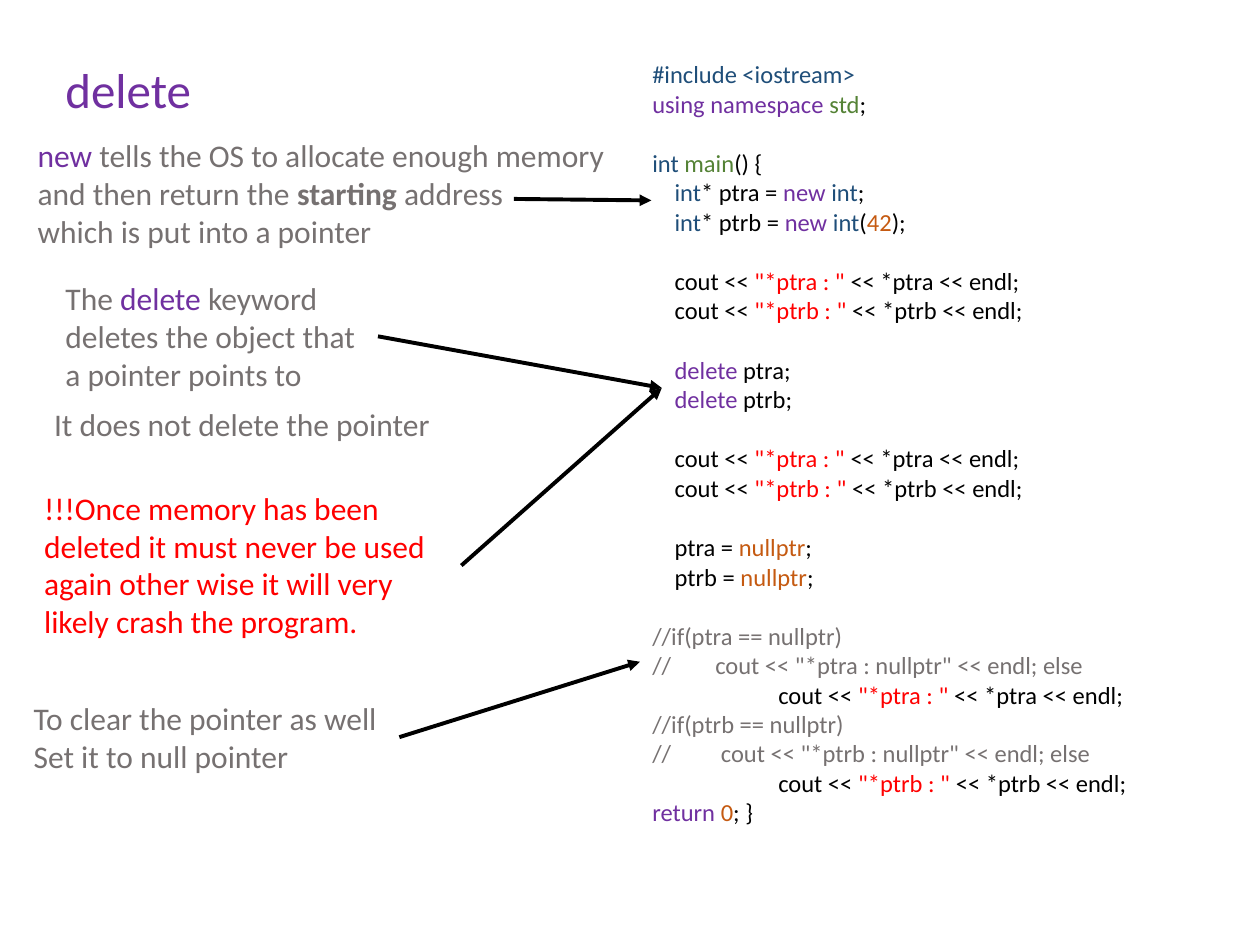
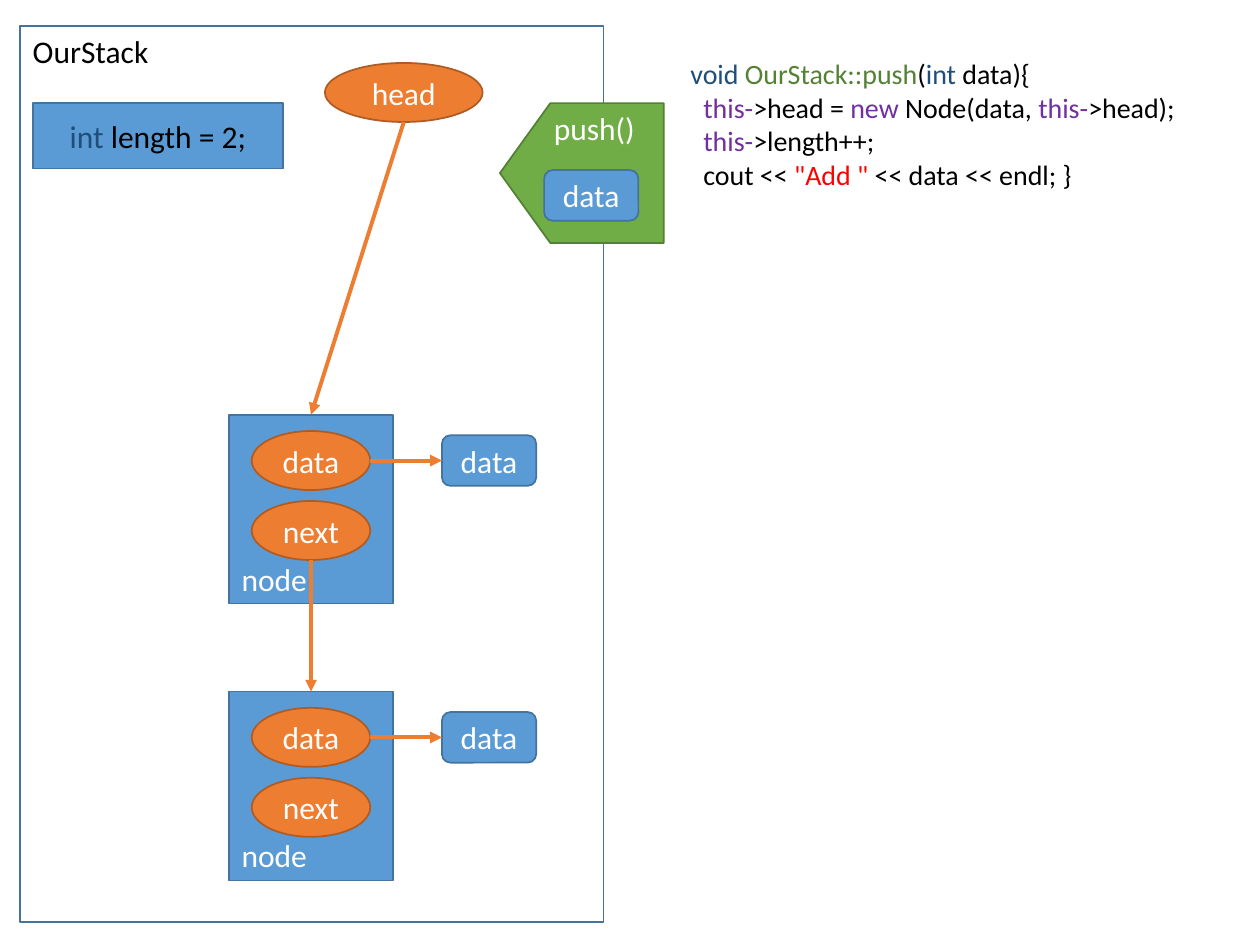
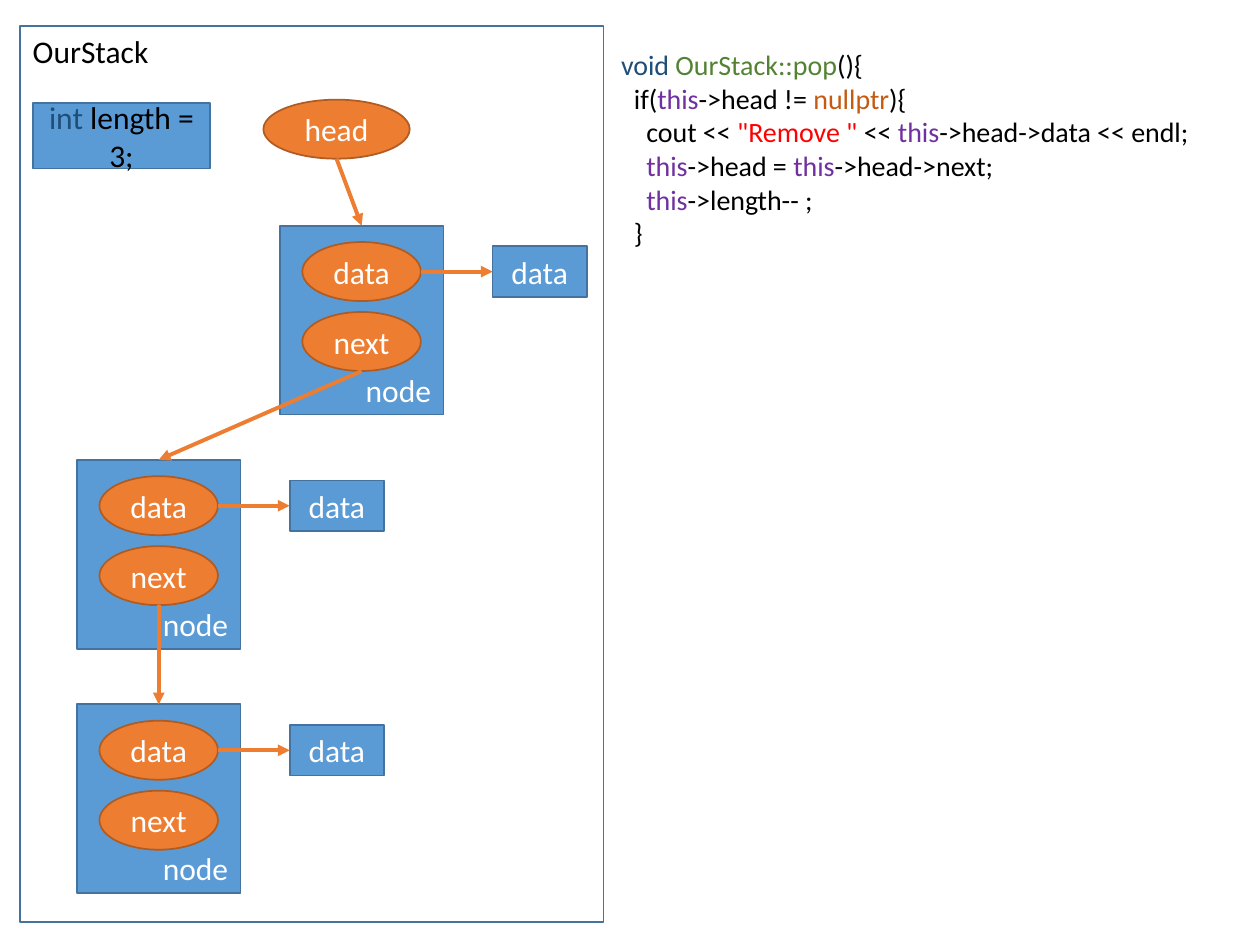
"""Build three slides on delete and on the push and pop of a linked stack."""
import dataclasses

import lxml.etree
import pptx
import pptx.dml.color
import pptx.enum.shapes
import pptx.enum.text
import pptx.oxml.ns
import pptx.util

Cm = pptx.util.Cm
SHAPE = pptx.enum.shapes.MSO_SHAPE
ALIGN = pptx.enum.text.PP_ALIGN
ANCHOR = pptx.enum.text.MSO_ANCHOR


@dataclasses.dataclass(frozen=True)
class Theme:
    """Colours, type sizes and line widths of all slides."""
    font: str = "Calibri"
    black: str = "000000"
    white: str = "FFFFFF"
    grey: str = "767171"
    red: str = "FF0000"
    purple: str = "7030A0"
    navy: str = "1F4E79"
    green: str = "548235"
    brown: str = "C55A11"
    blue_fill: str = "5B9BD5"
    blue_line: str = "43739E"
    orange_fill: str = "ED7D31"
    orange_line: str = "AF5C24"
    green_fill: str = "70AD47"
    green_line: str = "538035"
    title: float = 28
    body: float = 18
    code: float = 16
    small_code: float = 14
    outline: float = 1
    arrow: float = 2.25


THEME = Theme()
NODE_WIDTH, NODE_HEIGHT = 3.3, 3.81
FIELD_WIDTH, FIELD_HEIGHT = 2.39, 1.19
VALUE_WIDTH, VALUE_HEIGHT = 1.9, 1.02
VALUE_OFFSET = 4.29
LINE_SPACING = 1.22


@dataclasses.dataclass(frozen=True)
class Run:
    """A piece of text that departs from the look of its line."""
    text: str
    colour: str
    bold: bool = False


@dataclasses.dataclass(frozen=True)
class Line:
    """A line of text with its indent in cm and an optional gap above."""
    runs: tuple
    indent: float = 0
    gap: bool = False
    colour: str = ""


def line(*runs, **layout):
    """Gather runs into one line."""
    return Line(runs, **layout)


def keyword(text):
    """Colour a keyword."""
    return Run(text, THEME.purple)


def kind(text):
    """Colour a type name."""
    return Run(text, THEME.navy)


def name(text):
    """Colour a function or namespace name."""
    return Run(text, THEME.green)


def literal(text):
    """Colour a constant."""
    return Run(text, THEME.brown)


def string(text):
    """Colour a quoted string."""
    return Run(text, THEME.red)


def rgb(colour):
    """Turn a hex string into a colour."""
    return pptx.dml.color.RGBColor.from_string(colour)


def write_lines(frame, lines, size, colour, align=ALIGN.LEFT):
    """Fill a text frame with one paragraph for each line."""
    for index, content in enumerate(lines):
        paragraph = frame.paragraphs[0] if index == 0 else frame.add_paragraph()
        paragraph.alignment = align
        paragraph.font.name = THEME.font
        paragraph.font.size = pptx.util.Pt(size)
        paragraph.font.color.rgb = rgb(content.colour or colour)
        if content.gap:
            paragraph.space_before = pptx.util.Pt(size * LINE_SPACING)
        if content.indent:
            properties = paragraph._p.get_or_add_pPr()
            properties.set("marL", str(Cm(content.indent)))
            properties.set("indent", "0")
        for piece in content.runs:
            run = paragraph.add_run()
            if isinstance(piece, Run):
                run.text = piece.text
                run.font.color.rgb = rgb(piece.colour)
                if piece.bold:
                    run.font.bold = True
            else:
                run.text = piece


def add_text(slide, box, lines, size=THEME.body, colour=THEME.grey, wrap=True):
    """Add a text box that fits its lines."""
    shape = slide.shapes.add_textbox(*map(Cm, box))
    shape.text_frame.word_wrap = wrap
    shape.text_frame.auto_size = pptx.enum.text.MSO_AUTO_SIZE.SHAPE_TO_FIT_TEXT
    write_lines(shape.text_frame, lines, size, colour)
    return shape


def add_block(slide, preset, box, content, fill=THEME.blue_fill,
              outline=THEME.blue_line, colour=THEME.white,
              align=ALIGN.CENTER, anchor=ANCHOR.MIDDLE):
    """Add an outlined preset shape with one line of text."""
    shape = slide.shapes.add_shape(preset, *map(Cm, box))
    shape.shadow.inherit = False
    if fill:
        shape.fill.solid()
        shape.fill.fore_color.rgb = rgb(fill)
    else:
        shape.fill.background()
    shape.line.color.rgb = rgb(outline)
    shape.line.width = pptx.util.Pt(THEME.outline)
    shape.text_frame.word_wrap = True
    shape.text_frame.vertical_anchor = anchor
    write_lines(shape.text_frame, [content], THEME.body, colour, align)
    return shape


def add_pointer(slide, box, label):
    """Add an orange ellipse that stands for a pointer."""
    return add_block(slide, SHAPE.OVAL, box, line(label),
                     THEME.orange_fill, THEME.orange_line)


def add_arrow(slide, start, end, colour=THEME.orange_fill):
    """Add a straight arrow between two points."""
    connector = slide.shapes.add_connector(
        pptx.enum.shapes.MSO_CONNECTOR.STRAIGHT, *start, *end)
    connector.line.color.rgb = rgb(colour)
    connector.line.width = pptx.util.Pt(THEME.arrow)
    qualify = pptx.oxml.ns.qn
    outline = connector.line._get_or_add_ln()
    lxml.etree.SubElement(outline, qualify("a:tailEnd"), type="triangle")
    lxml.etree.SubElement(connector._element.spPr, qualify("a:effectLst"))


def add_link(slide, source, target):
    """Point from the bottom of one shape to the top of another."""
    add_arrow(slide,
              (source.left + source.width // 2, source.top + source.height),
              (target.left + target.width // 2, target.top))


def add_node(slide, left, top, value_preset, align):
    """Add a node with its two pointers and its value; return node and next."""
    node = add_block(slide, SHAPE.RECTANGLE, (left, top, NODE_WIDTH, NODE_HEIGHT),
                     line("node"), align=align, anchor=ANCHOR.BOTTOM)
    field_left = left + (NODE_WIDTH - FIELD_WIDTH) / 2
    data, following = [
        add_pointer(slide, (field_left, top + offset, FIELD_WIDTH, FIELD_HEIGHT), label)
        for label, offset in (("data", 0.33), ("next", 1.74))]
    value_top = top + 0.33 + (FIELD_HEIGHT - VALUE_HEIGHT) / 2
    value = add_block(slide, value_preset,
                      (left + VALUE_OFFSET, value_top, VALUE_WIDTH, VALUE_HEIGHT),
                      line("data"))
    middle = data.top + data.height // 2
    add_arrow(slide, (data.left + data.width, middle), (value.left, middle))
    return node, following


def add_stack(slide, length, length_width, head_box, places, value_preset, align):
    """Add the stack frame, its length, its head and its chain of nodes."""
    add_block(slide, SHAPE.RECTANGLE, (0.41, 0.53, 11.76, 18.06), line("OurStack"),
              fill=None, colour=THEME.black, align=ALIGN.LEFT, anchor=ANCHOR.TOP)
    add_block(slide, SHAPE.RECTANGLE, (0.66, 2.08, length_width, 1.32),
              line(kind("int"), f" length = {length};"), colour=THEME.black)
    source = add_pointer(slide, head_box, "head")
    for left, top in places:
        node, following = add_node(slide, left, top, value_preset, align)
        add_link(slide, source, node)
        source = following


def print_line(pointer, **layout):
    """Return the code line that prints one pointer's target."""
    return line("cout << ", string(f'"*{pointer} : " '),
                f"<< *{pointer} << endl;", **layout)


def delete_code():
    """Return the program that shows new and delete."""
    inner = {"indent": 0.45}
    comment = {"colour": THEME.grey}
    lines = [
        line(kind("#include <iostream>")),
        line(keyword("using namespace "), name("std"), ";"),
        line(kind("int "), name("main"), "() {", gap=True),
        line(kind("int"), "* ptra = ", keyword("new "), kind("int"), ";", **inner),
        line(kind("int"), "* ptrb = ", keyword("new "), kind("int"), "(",
             literal("42"), ");", **inner),
        print_line("ptra", gap=True, **inner),
        print_line("ptrb", **inner),
        line(keyword("delete "), "ptra;", gap=True, **inner),
        line(keyword("delete "), "ptrb;", **inner),
        print_line("ptra", gap=True, **inner),
        print_line("ptrb", **inner),
        line("ptra = ", literal("nullptr"), ";", gap=True, **inner),
        line("ptrb = ", literal("nullptr"), ";", **inner),
    ]
    for pointer, lead in (("ptra", "//\t"), ("ptrb", "//\t ")):
        lines += [
            line(f"//if({pointer} == nullptr)", gap=pointer == "ptra", **comment),
            line(f'{lead}cout << "*{pointer} : nullptr" << endl; else', **comment),
            print_line(pointer, indent=2.54),
        ]
    return lines + [line(keyword("return "), literal("0"), "; }")]


def build_delete_slide(slide):
    """Explain delete beside a sample program."""
    add_text(slide, (12.9, 1.07, 12.07, 17.02), delete_code(),
             THEME.small_code, THEME.black)
    add_text(slide, (1.07, 1.07, 3.07, 1.45), [line("delete")],
             THEME.title, THEME.purple, wrap=False)
    add_text(slide, (0.51, 2.62, 11.96, 2.57), [
        line(keyword("new "), "tells the OS to allocate enough memory"),
        line("and then return the ", Run("starting ", THEME.grey, True), "address"),
        line("which is put into a pointer")])
    add_text(slide, (1.07, 5.51, 6.58, 2.57), [
        line("The ", keyword("delete"),
             " keyword deletes the object that a pointer points to")])
    add_text(slide, (0.84, 8.05, 8.18, 1.02),
             [line("It does not delete the pointer")], wrap=False)
    add_text(slide, (0.64, 9.73, 8.66, 3.33), [
        line("!!!Once memory has been deleted it must never be used again "
             "other wise it will very likely crash the program.")],
             colour=THEME.red)
    add_text(slide, (0.43, 13.97, 7.62, 1.8), [
        line("To clear the pointer as well"), line("Set it to null pointer")])
    for start, end in (((10.36, 4.01), (13.13, 4.04)),
                       ((7.62, 6.78), (13.34, 7.82)),
                       ((9.3, 11.4), (13.34, 7.82)),
                       ((8.05, 14.86), (12.9, 13.34))):
        add_arrow(slide, tuple(map(Cm, start)), tuple(map(Cm, end)), THEME.black)


def build_push_slide(slide):
    """Show a stack of two nodes and the push function."""
    inner = {"indent": 0.26}
    add_text(slide, (13.67, 1.02, 10.39, 3), [
        line(kind("void "), name("OurStack::push"), "(", kind("int "), "data){"),
        line(keyword("this-"), ">head = ", keyword("new"), " Node(data, ",
             keyword("this-"), ">head);", **inner),
        line(keyword("this-"), ">length++;", **inner),
        line("cout << ", string('"Add " '), "<< data << endl; }", **inner)],
             THEME.code, THEME.black, wrap=False)
    add_stack(slide, 2, 5.05, (6.55, 1.27, 3.18, FIELD_HEIGHT),
              ((4.62, 8.36), (4.62, 13.94)), SHAPE.ROUNDED_RECTANGLE, ALIGN.LEFT)
    push = add_block(slide, SHAPE.PENTAGON, (10.08, 2.08, 3.3, 2.82), line("push()"),
                     THEME.green_fill, THEME.green_line, anchor=ANCHOR.TOP)
    push.adjustments[0] = 0.36
    push._element.spPr.get_or_add_xfrm().set("flipH", "1")
    add_block(slide, SHAPE.ROUNDED_RECTANGLE,
              (10.97, 3.43, VALUE_WIDTH, VALUE_HEIGHT), line("data"))


def build_pop_slide(slide):
    """Show a stack of three nodes and the pop function."""
    outer, inner = {"indent": 0.26}, {"indent": 0.51}
    this = keyword("this")
    add_text(slide, (12.27, 0.84, 12.09, 4.37), [
        line(kind("void "), name("OurStack::pop"), "(){"),
        line("if(", this, "->head != ", literal("nullptr"), "){", **outer),
        line("cout << ", string('"Remove " '), "<< ", this,
             "->head->data << endl;", **inner),
        line(this, "->head = ", this, "->head->next;", **inner),
        line(this, "->length-- ;", **inner),
        line("}", **outer)],
             THEME.code, THEME.black, wrap=False)
    add_stack(slide, 3, 3.58, (5.31, 2.01, 2.95, FIELD_HEIGHT),
              ((5.64, 4.55), (1.55, 9.27), (1.55, 14.2)),
              SHAPE.RECTANGLE, ALIGN.RIGHT)


def main():
    """Build and save the presentation."""
    presentation = pptx.Presentation()
    presentation.slide_width, presentation.slide_height = Cm(25.4), Cm(19.05)
    for build in (build_delete_slide, build_push_slide, build_pop_slide):
        build(presentation.slides.add_slide(presentation.slide_layouts[6]))
    presentation.save("out.pptx")


main()
